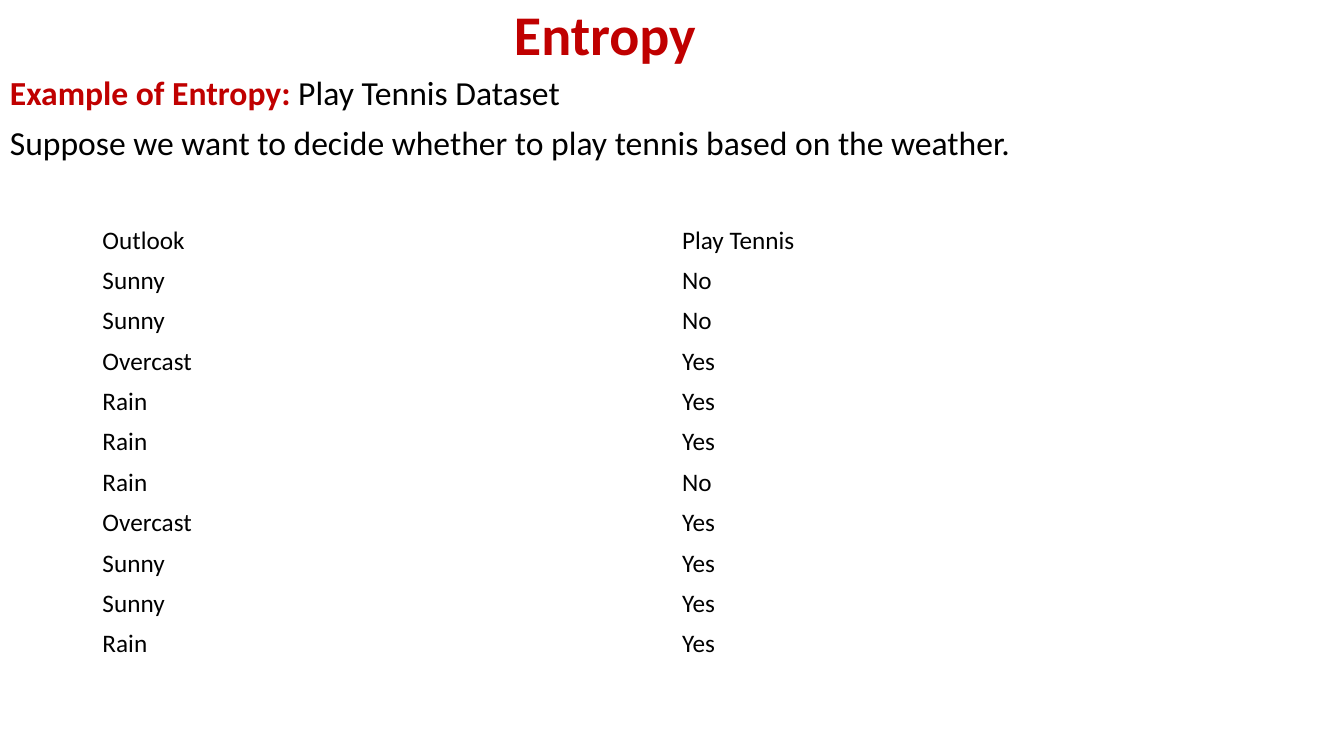
from dataclasses import dataclass

from pptx import Presentation
from pptx.dml.color import RGBColor as RGB
from pptx.enum.text import MSO_ANCHOR as ANCHOR, PP_ALIGN as ALIGN
from pptx.util import Inches, Pt

COLS, ROWS = 160, 90


@dataclass(frozen=True)
class Theme:
    font: str = "Calibri"
    accent: RGB = RGB(0xC0, 0x00, 0x00)
    ink: RGB = RGB(0x00, 0x00, 0x00)
    title: Pt = Pt(40)
    body: Pt = Pt(24)
    cell: Pt = Pt(18)


class Deck:
    """Draw styled elements on one slide laid out as a grid of columns and rows."""

    def __init__(self, theme):
        self.theme = theme
        self.prs = Presentation()
        self.prs.slide_width, self.prs.slide_height = Inches(13.33), Inches(7.5)
        self.s = self.prs.slides.add_slide(self.prs.slide_layouts[6])

    def box(self, col, row, cols, rows):
        w, h = self.prs.slide_width / COLS, self.prs.slide_height / ROWS
        return [round(n) for n in (col * w, row * h, cols * w, rows * h)]

    def style(self, font, size, color=None, bold=None):
        font.name, font.size, font.bold = self.theme.font, size, bold
        font.color.rgb = color or self.theme.ink

    def text(self, area, anchor):
        tf = self.s.shapes.add_textbox(*self.box(*area)).text_frame
        tf.word_wrap, tf.vertical_anchor = True, anchor
        return tf

    def title(self, text, area):
        p = self.text(area, ANCHOR.MIDDLE).paragraphs[0]
        p.text, p.alignment, p.line_spacing = text, ALIGN.CENTER, 0.9
        self.style(p.font, self.theme.title, self.theme.accent, True)

    def body(self, paragraphs, area):
        tf = self.text(area, ANCHOR.TOP)
        for i, (lead, text) in enumerate(paragraphs):
            p = tf.add_paragraph() if i else tf.paragraphs[0]
            p.line_spacing, p.space_before = 0.9, Pt(10 if i else 0)
            self.style(p.font, self.theme.body)
            if lead:
                r = p.add_run()
                r.text = lead
                self.style(r.font, self.theme.body, self.theme.accent, True)
            p.add_run().text = text

    def table(self, records, area):
        shape = self.s.shapes.add_table(len(records), len(records[0]), *self.box(*area))
        table = shape.table
        table.first_row = table.horz_banding = False
        for row, record in zip(table.rows, records):
            for cell, value in zip(row.cells, record):
                cell.fill.background()
                cell.vertical_anchor = ANCHOR.MIDDLE
                p = cell.text_frame.paragraphs[0]
                p.text = value
                self.style(p.font, self.theme.cell)


def main():
    deck = Deck(Theme())
    deck.title("Entropy", (21.4, -0.6, 101.2, 10.2))
    deck.body([
        ("Example of Entropy: ", "Play Tennis Dataset"),
        ("", "Suppose we want to decide whether to play tennis based on the weather."),
    ], (0, 8.5, COLS, 77.3))
    deck.table([
        ("Outlook", "Play Tennis"),
        ("Sunny", "No"),
        ("Sunny", "No"),
        ("Overcast", "Yes"),
        ("Rain", "Yes"),
        ("Rain", "Yes"),
        ("Rain", "No"),
        ("Overcast", "Yes"),
        ("Sunny", "Yes"),
        ("Sunny", "Yes"),
        ("Rain", "Yes"),
    ], (11, 26.2, 138, 52.8))
    deck.prs.save("out.pptx")


if __name__ == "__main__":
    main()
